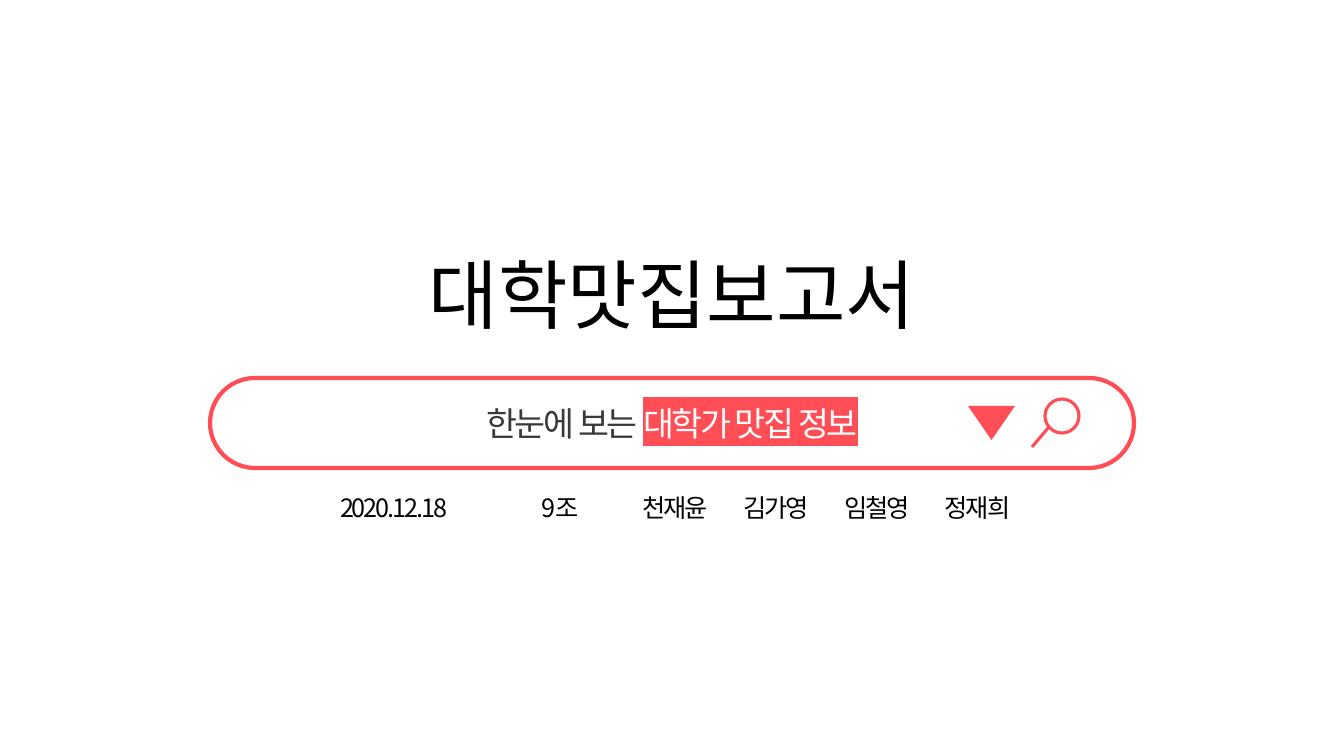
from lxml.etree import SubElement
from pptx import Presentation
from pptx.dml.color import RGBColor
from pptx.enum.shapes import MSO_CONNECTOR, MSO_SHAPE
from pptx.enum.text import MSO_ANCHOR, MSO_AUTO_SIZE, PP_ALIGN
from pptx.oxml.ns import qn
from pptx.util import Inches, Pt

SCALE = 914400 / 100.8
FONT = "Noto Sans CJK KR"
COLORS = {"black": "000000", "gray": "3B3838", "white": "FFFFFF", "coral": "FF4E55"}


def px(value):
    return round(value * SCALE)


def color(name):
    return RGBColor.from_string(COLORS[name])


def style_paragraph(para, size, spacing=0):
    para.alignment = PP_ALIGN.CENTER
    para.font.size = Pt(size)
    para.font.name = FONT
    defaults = para._p.pPr.find(qn("a:defRPr"))
    SubElement(defaults, qn("a:ea")).set("typeface", FONT)
    if spacing:
        defaults.set("spc", str(round(spacing * 100)))


def add_text(page, left, top, width, height, text, size, spacing=0):
    box = page.shapes.add_textbox(px(left), px(top), px(width), px(height))
    box.text_frame.word_wrap = True
    box.text_frame.auto_size = MSO_AUTO_SIZE.SHAPE_TO_FIT_TEXT
    para = box.text_frame.paragraphs[0]
    para.text = text
    style_paragraph(para, size, spacing)
    para.font.color.rgb = color("black")
    return para


def add_shape(group, kind, left, top, width, height, line=None):
    """Outlined in coral when a line width is given, otherwise filled."""
    shape = group.shapes.add_shape(kind, px(left), px(top), px(width), px(height))
    shape.shadow.inherit = False
    if line:
        shape.fill.background()
        shape.line.color.rgb = color("coral")
        shape.line.width = Pt(line)
    else:
        shape.fill.solid()
        shape.fill.fore_color.rgb = color("coral")
        shape.line.fill.background()
    return shape


def add_magnifier(group, left, top):
    add_shape(group, MSO_SHAPE.OVAL, left + 13, top, 34, 34, line=2.25)
    handle = group.shapes.add_connector(
        MSO_CONNECTOR.STRAIGHT, px(left + 17), px(top + 28), px(left), px(top + 48))
    handle.line.color.rgb = color("coral")
    handle.line.width = Pt(2.25)
    SubElement(handle._element.spPr, qn("a:effectLst"))


def add_search_bar(page, left, top, width, height):
    group = page.shapes.add_group_shape()
    bar = add_shape(group, MSO_SHAPE.ROUNDED_RECTANGLE, left, top, width, height, line=3)
    bar.adjustments[0] = 0.5
    bar.text_frame.word_wrap = True
    bar.text_frame.vertical_anchor = MSO_ANCHOR.MIDDLE
    para = bar.text_frame.paragraphs[0]
    style_paragraph(para, 24, spacing=-1.5)
    for text, name in (("한눈에 보는 ", "gray"), ("대학가 맛집 정보", "white")):
        span = para.add_run()
        span.text = text
        span.font.color.rgb = color(name)
    # Highlight behind the last words
    highlight = SubElement(span._r.get_or_add_rPr(), qn("a:highlight"))
    SubElement(highlight, qn("a:srgbClr")).set("val", COLORS["coral"])

    # Icons at the right end
    arrow = add_shape(group, MSO_SHAPE.ISOSCELES_TRIANGLE, left + width - 166, top + 28, 47, 34)
    arrow.rotation = 180
    add_magnifier(group, left + width - 102, top + 21)


def add_credits(page, left, top, width, height):
    members = ("천재윤 ", "김가영 ", "임철영 ", "정재희")
    text = "\t".join(("2020.12.18", "9조", *members))
    para = add_text(page, left, top, width, height, text, 18, spacing=-1.5)
    para.level = 1
    properties = para._p.pPr
    properties.set("marL", str(Inches(0.5)))
    properties.set("indent", "0")
    properties.set("defTabSz", str(Inches(1)))


def build_cover(deck):
    page = deck.slides.add_slide(deck.slide_layouts[6])
    add_text(page, 210, 243, 924, 102, "대학맛집보고서", 54)
    add_credits(page, 188, 487, 924, 40)
    add_search_bar(page, 210, 378, 924, 90)


def main():
    deck = Presentation()
    deck.slide_width, deck.slide_height = px(1344), px(756)
    build_cover(deck)
    deck.save("out.pptx")


if __name__ == "__main__":
    main()
